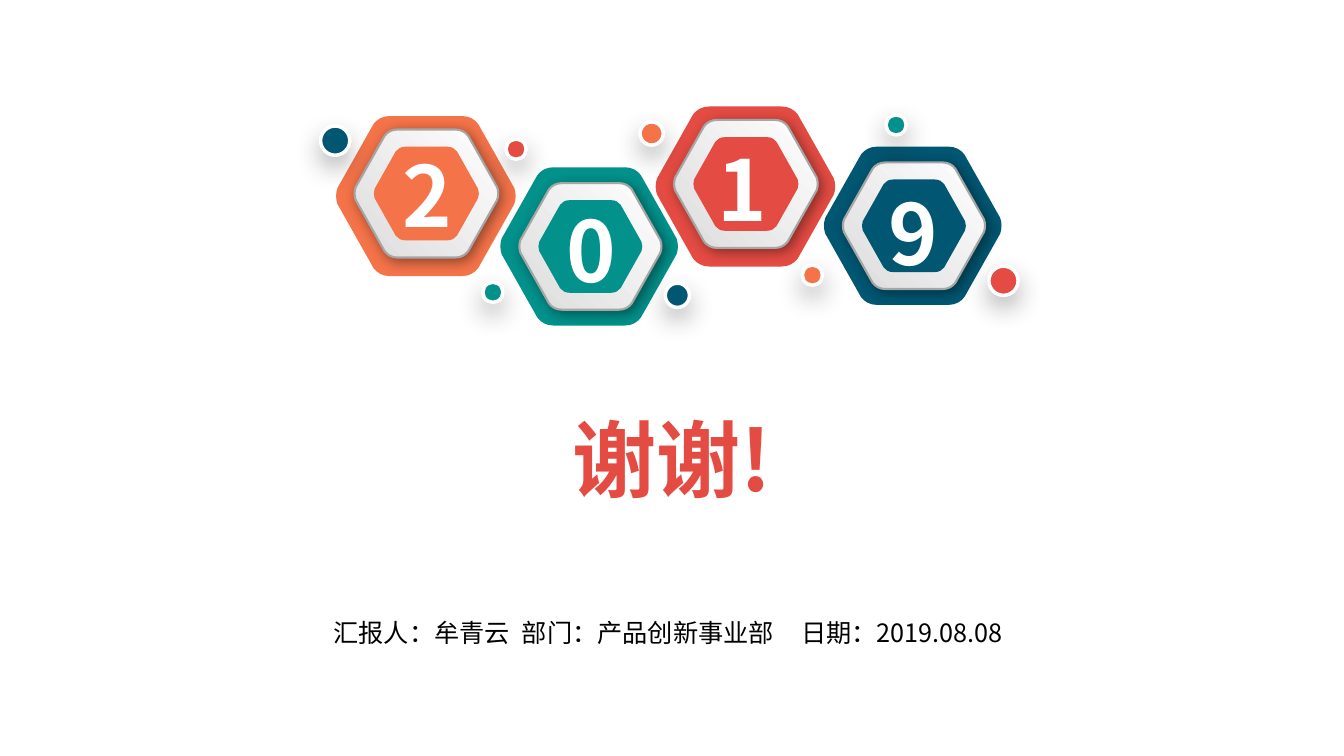
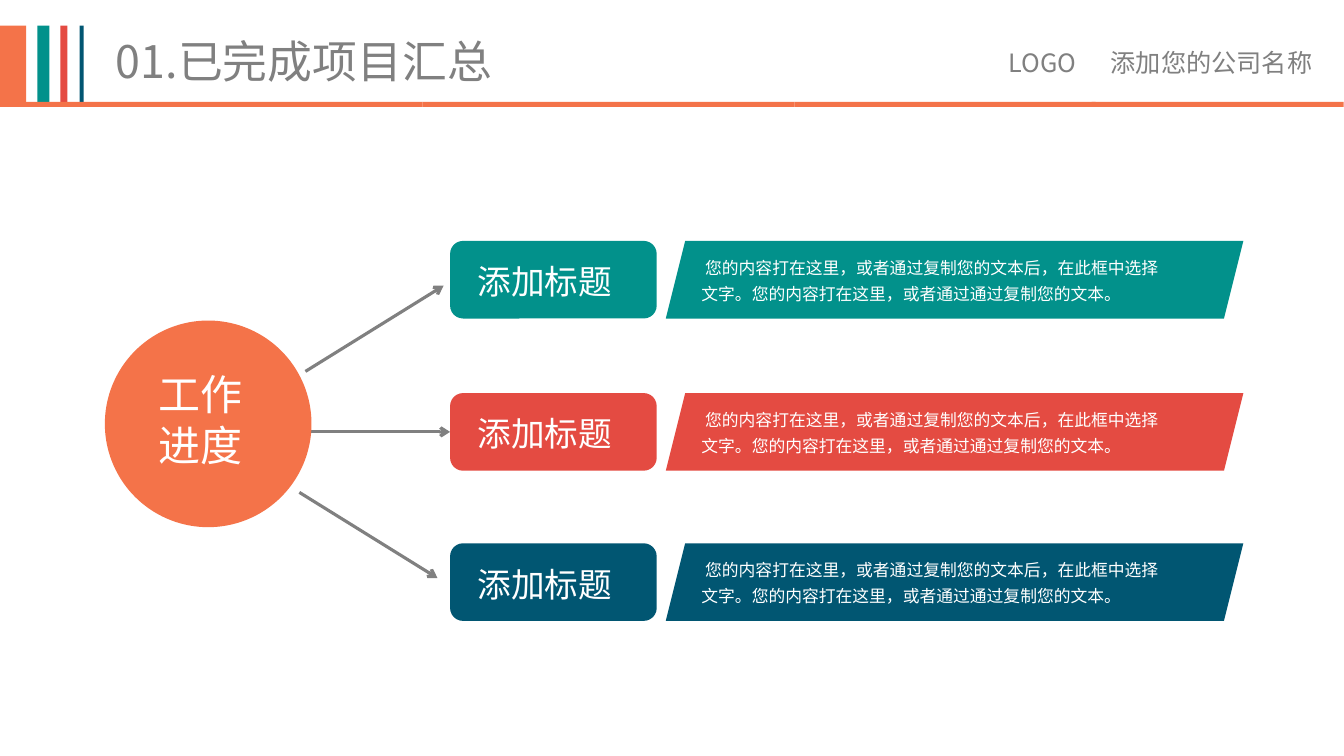
"""Build a closing slide and a project progress slide."""
from dataclasses import dataclass
from typing import Any

from lxml.etree import SubElement
from pptx import Presentation
from pptx.dml.color import RGBColor
from pptx.enum.shapes import MSO_CONNECTOR, MSO_SHAPE
from pptx.enum.text import MSO_ANCHOR, MSO_AUTO_SIZE, PP_ALIGN
from pptx.oxml.ns import qn
from pptx.util import Inches, Pt

RECT = MSO_SHAPE.RECTANGLE
ROUND = MSO_SHAPE.ROUNDED_RECTANGLE
SLANT = MSO_SHAPE.PARALLELOGRAM
OVAL = MSO_SHAPE.OVAL
LINE = MSO_CONNECTOR.STRAIGHT
TOP, MID = MSO_ANCHOR.TOP, MSO_ANCHOR.MIDDLE
LEFT, CENTER, EVEN = PP_ALIGN.LEFT, PP_ALIGN.CENTER, PP_ALIGN.JUSTIFY
GROW, FIXED = MSO_AUTO_SIZE.SHAPE_TO_FIT_TEXT, MSO_AUTO_SIZE.NONE

WIDE, HIGH = Inches(13.333), Inches(7.5)
ROWS = 75
CELL = HIGH // ROWS

FONT = "Noto Sans CJK SC"
ORANGE, TEAL, RED, NAVY = "F47349", "02918B", "E44B42", "015672"
WHITE, BLACK, GRAY = "FFFFFF", "000000", "808080"
SILVER, RIM = "DCDCDC", "A6A6A6"

Box = tuple[float, float, float, float]
Point = tuple[float, float]

BEND: list[Point] = [(0.7, 0), (0.74, 0), (0.77, 0.02), (0.79, 0.05)]
SIDE: list[Point] = [(0.99, 0.45), (1, 0.48), (1, 0.52), (0.99, 0.55)]


@dataclass(frozen=True)
class Text:
    """Format of a block of text."""
    size: float
    color: str
    bold: bool = False
    align: Any = LEFT
    anchor: Any = TOP
    gap: float = 1
    indent: float = 0
    tabs: tuple[float, ...] = ()


@dataclass(frozen=True)
class Shade:
    """Outer shadow, with lengths in points."""
    color: str
    alpha: int
    blur: float
    dist: float
    angle: int


@dataclass(frozen=True)
class Badge:
    """Hexagon with a digit; centre, width, ring shift and text corner in cells."""
    digit: str
    color: str
    x: float
    y: float
    w: float
    dx: float
    dy: float
    left: float
    top: float


@dataclass(frozen=True)
class Dot:
    """Small circle placed by its corner."""
    x: float
    y: float
    w: float
    color: str


BADGES = [
    Badge("2", ORANGE, 42.25, 19.45, 17.9, 0.05, -0.25, 38.9, 13.75),
    Badge("0", TEAL, 58.45, 24.45, 17.7, 0.12, 0, 55.2, 19.2),
    Badge("1", RED, 73.95, 18.5, 17.9, 0.05, -0.25, 70.2, 13.1),
    Badge("9", NAVY, 90.55, 22.4, 17.7, 0.12, 0, 87.2, 17.5),
]
DOTS = [
    Dot(98.1, 26.4, 2.9, RED), Dot(79.6, 26.3, 2, ORANGE),
    Dot(63.5, 12.1, 2.3, ORANGE), Dot(87.9, 11.4, 2, TEAL),
    Dot(66, 28.1, 2.4, NAVY), Dot(50.2, 13.8, 2, RED),
    Dot(47.9, 28, 2, TEAL), Dot(31.8, 12.5, 2.9, NAVY),
]
BARS = [(0, 2.6, ORANGE), (3.7, 1.2, TEAL), (6, 0.7, RED), (7.9, 0.4, NAVY)]
BANDS = [(0, 41.9), (41.9, 36.9), (78.8, 29.9), (108.3, 25)]
GOALS = [(23.9, TEAL), (39, RED), (53.9, NAVY)]
RING = Shade(BLACK, 40, 9, 3, 45)
DROP = Shade("262626", 33, 18, 8, 90)
BODY = ["您的内容打在这里，或者通过复制您的文本后，在此框中选择",
        "文字。您的内容打在这里，或者通过通过复制您的文本。"]


def rgb(code: str) -> RGBColor:
    """Turn a hex string into a colour."""
    return RGBColor.from_string(code)


def emu(cells: float) -> int:
    """Turn grid cells into slide units."""
    return round(cells * CELL)


def write(shape: Any, lines: list[str], form: Text) -> None:
    """Fill a shape with formatted paragraphs."""
    frame = shape.text_frame
    size = FIXED if form.anchor == MID else GROW
    looks = {"word_wrap": True, "vertical_anchor": form.anchor, "auto_size": size}
    for key, val in looks.items():
        setattr(frame, key, val)
    for i, line in enumerate(lines):
        para = frame.add_paragraph() if i else frame.paragraphs[0]
        para.alignment, para.line_spacing = form.align, form.gap
        props = para._p.get_or_add_pPr()
        if form.indent and not i:
            props.set("indent", str(emu(form.indent)))
        if form.tabs:
            stops = SubElement(props, qn("a:tabLst"))
            for tab in form.tabs:
                SubElement(stops, qn("a:tab"), pos=str(emu(tab)), algn="l")
        run = para.add_run()
        run.text = line
        kind = {"name": FONT, "size": Pt(form.size), "bold": form.bold}
        for key, val in kind.items():
            setattr(run.font, key, val)
        run.font.color.rgb = rgb(form.color)
        SubElement(run._r.get_or_add_rPr(), qn("a:ea"), typeface=FONT)


def label(slide: Any, box: Box, lines: list[str], form: Text) -> None:
    """Add a text box."""
    write(slide.shapes.add_textbox(*map(emu, box)), lines, form)


def title(slide: Any, box: Box, words: str, form: Text) -> None:
    """Place and fill the title."""
    head = slide.shapes.title
    for key, val in zip(("left", "top", "width", "height"), box):
        setattr(head, key, emu(val))
    write(head, [words], form)


def paint(shape: Any, color: str, rim: str = "", width: float = 0,
          shade: Shade | None = None) -> None:
    """Set fill, outline and shadow."""
    shape.fill.solid()
    shape.fill.fore_color.rgb = rgb(color)
    if rim:
        shape.line.color.rgb = rgb(rim)
        shape.line.width = Pt(width)
    else:
        shape.line.fill.background()
    shape.shadow.inherit = False
    if shade:
        fx = shape._element.spPr.find(qn("a:effectLst"))
        outer = SubElement(fx, qn("a:outerShdw"), blurRad=str(Pt(shade.blur)),
                           dist=str(Pt(shade.dist)), dir=str(shade.angle * 60000),
                           algn="ctr", rotWithShape="0")
        tint = SubElement(outer, qn("a:srgbClr"), val=shade.color)
        SubElement(tint, qn("a:alpha"), val=str(shade.alpha * 1000))


def block(slide: Any, kind: Any, box: Box, color: str) -> Any:
    """Add a plain filled shape."""
    shape = slide.shapes.add_shape(kind, *map(emu, box))
    paint(shape, color)
    return shape


def hexa(slide: Any, x: float, y: float, w: float) -> Any:
    """Add a hexagon about a centre, with each corner as one curve."""
    half = BEND + SIDE + [(a, 1 - b) for a, b in reversed(BEND)]
    h = w * 0.887
    spots = [(emu(x + (a - 0.5) * w), emu(y + (b - 0.5) * h))
             for a, b in half + [(1 - a, 1 - b) for a, b in half]]
    form = slide.shapes.build_freeform(*spots[0], scale=1.0)
    form.add_line_segments(spots[1:], close=True)
    shape = form.convert_to_shape()
    legs = list(shape._element.iter(qn("a:lnTo")))
    for i in range(0, len(spots), len(BEND)):
        trio = legs[i:i + 3]
        bow = trio[0].makeelement(qn("a:cubicBezTo"))
        trio[0].addprevious(bow)
        for leg in trio:
            bow.append(leg[0])
            leg.getparent().remove(leg)
    return shape


def badge(slide: Any, item: Badge) -> None:
    """Draw three nested hexagons."""
    paint(hexa(slide, item.x, item.y, item.w), item.color)
    x, y = item.x + item.dx, item.y + item.dy
    ring = hexa(slide, x, y, item.w * 0.8)
    paint(ring, WHITE, RIM, 1.5, RING)
    ring.fill.gradient()
    ring.fill.gradient_angle = 225
    for stop, color in zip(ring.fill.gradient_stops, (WHITE, SILVER)):
        stop.color.rgb = rgb(color)
    paint(hexa(slide, x, y, item.w * 0.585), item.color)


def arrow(slide: Any, x: float, y: float, end: Point, goal: Any = None) -> None:
    """Draw an arrow, joined to the left side of a goal if given."""
    line = slide.shapes.add_connector(LINE, emu(x), emu(y), *map(emu, end))
    if goal is not None:
        line.end_connect(goal, 1)
    line.line.color.rgb = rgb(GRAY)
    line.line.width = Pt(2.25)
    props = line._element.spPr
    SubElement(props.find(qn("a:ln")), qn("a:tailEnd"), type="arrow")
    SubElement(props, qn("a:effectLst"))


def close(slide: Any) -> None:
    """Build the closing slide."""
    for item in BADGES:
        badge(slide, item)
    for dot in DOTS:
        shape = slide.shapes.add_shape(OVAL, *map(emu, (dot.x, dot.y, dot.w, dot.w)))
        paint(shape, dot.color, WHITE, 2.5, DROP)
    for item in BADGES:
        label(slide, (item.left, item.top, 5.9, 11.1), [item.digit],
              Text(60, WHITE, True))
    title(slide, (16.9, 41.9, 99.6, 7), "谢谢!", Text(60, RED, True, CENTER, MID))
    label(slide, (32.1, 61.4, 72, 2.7),
          ["汇报人：牟青云\t部门：产品创新事业部\t日期：2019.08.08"],
          Text(18, BLACK, anchor=MID, tabs=(18.7, 46.4)))


def header(slide: Any, words: str) -> None:
    """Draw the title band."""
    title(slide, (10.5, 2.85, 51.2, 6.4), words, Text(32, GRAY))
    for x, w, color in BARS:
        block(slide, RECT, (x, 2.55, w, 7.55), color)
    label(slide, (99.1, 4.2, 34.2, 4), ["LOGO\t添加您的公司名称"],
          Text(18, GRAY, tabs=(10.1,)))
    for x, w in BANDS:
        block(slide, RECT, (x, 10.1, w, 0.5), ORANGE)


def status(slide: Any) -> None:
    """Build the progress slide."""
    header(slide, "01.已完成项目汇总")
    goals = []
    for y, color in GOALS:
        goals.append(block(slide, ROUND, (44.65, y, 20.5, 7.7), color))
        label(slide, (46.4, y + 1.5, 16.8, 5.5), ["添加标题"], Text(24, WHITE))
        block(slide, SLANT, (66.05, y, 57.3, 7.7), color)
        label(slide, (68.6, y + 0.55, 52.2, 6.8), BODY,
              Text(12, WHITE, align=EVEN, gap=1.3, indent=0.37))
    mid = GOALS[1][0] + 3.85
    arrow(slide, 30.3, mid - 6, (44, mid - 14.5))
    arrow(slide, 30.9, mid, (44.65, mid), goals[1])
    arrow(slide, 29.7, mid + 6, (43.4, mid + 14.5))
    block(slide, OVAL, (10.4, 31.8, 20.5, 20.5), ORANGE)
    label(slide, (14.7, 36.1, 11.3, 12.1), ["工作", "进度"], Text(30, WHITE))


def main() -> None:
    """Build and save the slides."""
    deck = Presentation()
    deck.slide_width, deck.slide_height = WIDE, HIGH
    for draw in (close, status):
        draw(deck.slides.add_slide(deck.slide_layouts[5]))
    deck.save("out.pptx")


if __name__ == "__main__":
    main()
